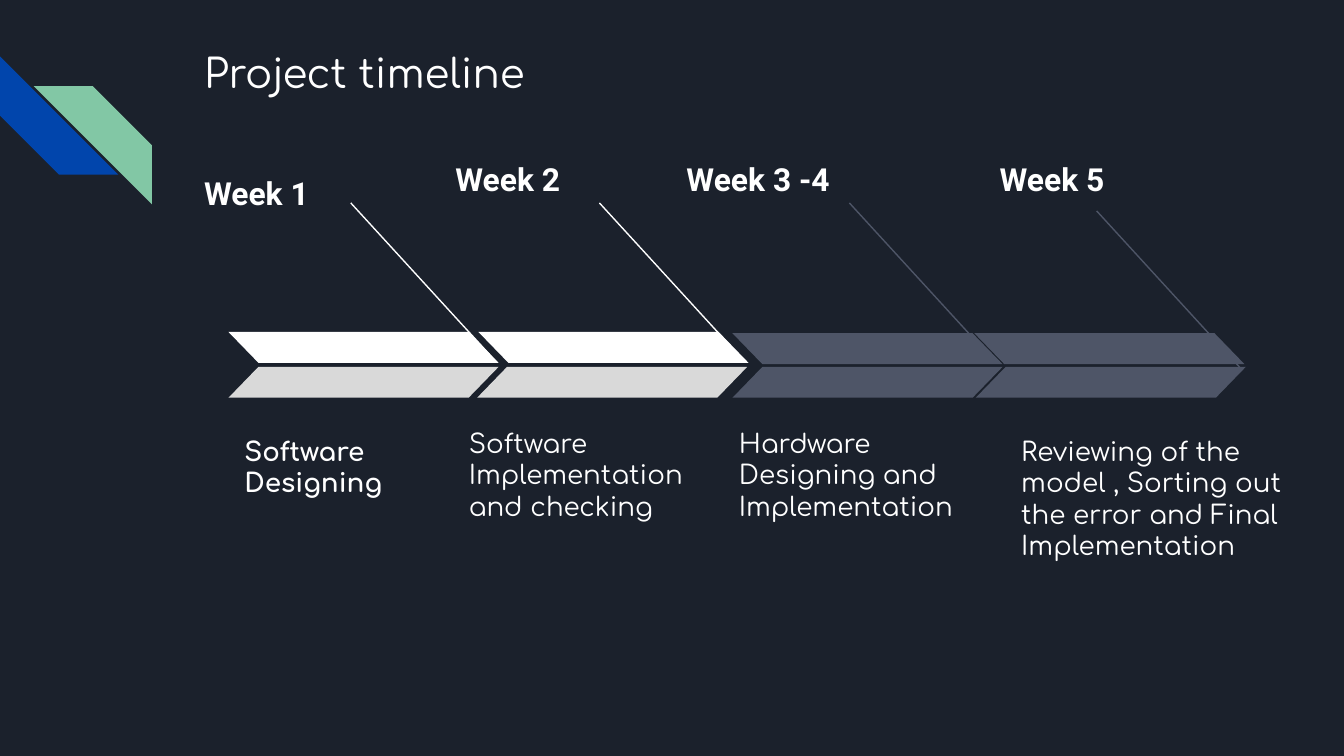
import pptx
import pptx.dml.color
import pptx.enum.shapes
import pptx.enum.text
import pptx.oxml
import pptx.util
from pptx.util import Inches

SHAPE = pptx.enum.shapes.MSO_SHAPE
WHITE, GREY, SLATE = "FFFFFF", "D9D9D9", "4E5567"
BACKGROUND, BLUE, GREEN = "1B212C", "0145AC", "82C7A5"
SLIDE_WIDTH = 10
SLIDE_HEIGHT = SLIDE_WIDTH * 9 / 16

TITLE = "Project timeline"
# week, week box (left, top, width), task, task box (left, top, width, height), bold task
STAGES = [
    ("Week 1", (1.42, 1.19, 1.41), "Software Designing",
     (1.72, 3.14, 1.72, 0.52), True),
    ("Week 2", (3.29, 1.09, 1.83), "Software Implementation and checking",
     (3.39, 3.08, 1.83, 0.7), False),
    ("Week 3 -4", (5.01, 1.09, 1.83), "Hardware Designing and Implementation",
     (5.4, 3.08, 1.93, 0.8), False),
    ("Week 5", (7.34, 1.09, 1.83),
     "Reviewing of the model , Sorting out the error and Final Implementation",
     (7.5, 3.14, 2.19, 0.8), False),
]
# pointer start (x, y), upper half (left, top, colour), lower half (left, top, colour)
ARROWS = [
    ((2.61, 1.51), (1.7, 2.47, WHITE), (1.7, 2.73, GREY)),
    ((4.46, 1.51), (3.56, 2.47, WHITE), (3.55, 2.73, GREY)),
    ((6.32, 1.51), (5.45, 2.48, SLATE), (5.45, 2.73, SLATE)),
    ((8.16, 1.57), (7.25, 2.48, SLATE), (7.26, 2.73, SLATE)),
]
ARROW_WIDTH, HALF_HEIGHT = 2.01, 0.23
POINTER_RUN, POINTER_DROP = 1.08, 1.18
WEEK_HEIGHT = 0.38
STRIPE_SIZE = 0.88


def color(hex_value):
    return pptx.dml.color.RGBColor.from_string(hex_value)


def add_text(slide, text, box, size, font="Comfortaa", bold=False, after=0):
    textbox = slide.shapes.add_textbox(*map(Inches, box))
    frame = textbox.text_frame
    frame.word_wrap = True
    frame.vertical_anchor = pptx.enum.text.MSO_ANCHOR.TOP
    frame.margin_left = frame.margin_right = Inches(0.1)
    frame.margin_top = frame.margin_bottom = Inches(0.1)
    paragraph = frame.paragraphs[0]
    paragraph.space_after = pptx.util.Pt(after)
    run = paragraph.add_run()
    run.text = text
    run.font.name = font
    run.font.size = pptx.util.Pt(size)
    run.font.bold = bold
    run.font.color.rgb = color(WHITE)


def add_band(slide, kind, box, fill, adjustment, flip=False, rotation=0):
    """Add a borderless slanted shape, mirrored left to right if flip is set."""
    band = slide.shapes.add_shape(kind, *map(Inches, box))
    band.shadow.inherit = False
    band.adjustments[0] = adjustment
    band.rotation = rotation
    band.fill.solid()
    band.fill.fore_color.rgb = color(fill)
    band.line.fill.background()
    if flip:
        band._element.spPr.xfrm.set("flipH", "1")


def add_pointer(slide, start, line_color):
    x, y = start
    pointer = slide.shapes.add_connector(
        pptx.enum.shapes.MSO_CONNECTOR.STRAIGHT,
        *map(Inches, (x, y, x + POINTER_RUN, y + POINTER_DROP)))
    pointer.line.color.rgb = color(line_color)
    pointer.line.width = pptx.util.Pt(0.75)
    pointer._element.spPr.append(pptx.oxml.parse_xml(
        '<a:effectLst xmlns:a="http://schemas.openxmlformats.org/drawingml/2006/main"/>'))


def main():
    deck = pptx.Presentation()
    deck.slide_width, deck.slide_height = Inches(SLIDE_WIDTH), Inches(SLIDE_HEIGHT)
    slide = deck.slides.add_slide(deck.slide_layouts[6])
    slide.background.fill.solid()
    slide.background.fill.fore_color.rgb = color(BACKGROUND)

    add_band(slide, SHAPE.DIAGONAL_STRIPE, (0, 0.42, STRIPE_SIZE, STRIPE_SIZE),
             BLUE, 0.5, rotation=270)
    add_band(slide, SHAPE.DIAGONAL_STRIPE, (0.25, 0.64, STRIPE_SIZE, STRIPE_SIZE),
             GREEN, 0.5, flip=True)
    add_text(slide, TITLE, (1.42, 0.26, 2.74, 0.52), 21.6)

    for start, upper, lower in ARROWS:
        add_pointer(slide, start, upper[2])
        for (left, top, fill), flip in ((upper, True), (lower, False)):
            add_band(slide, SHAPE.PARALLELOGRAM, (left, top, ARROW_WIDTH, HALF_HEIGHT),
                     fill, 0.97, flip=flip)

    for week, week_box, task, task_box, bold in STAGES:
        add_text(slide, week, (*week_box, WEEK_HEIGHT), 17, font="Roboto",
                 bold=True, after=16)
        add_text(slide, task, task_box, 14, bold=bold)

    deck.save("out.pptx")


if __name__ == "__main__":
    main()
